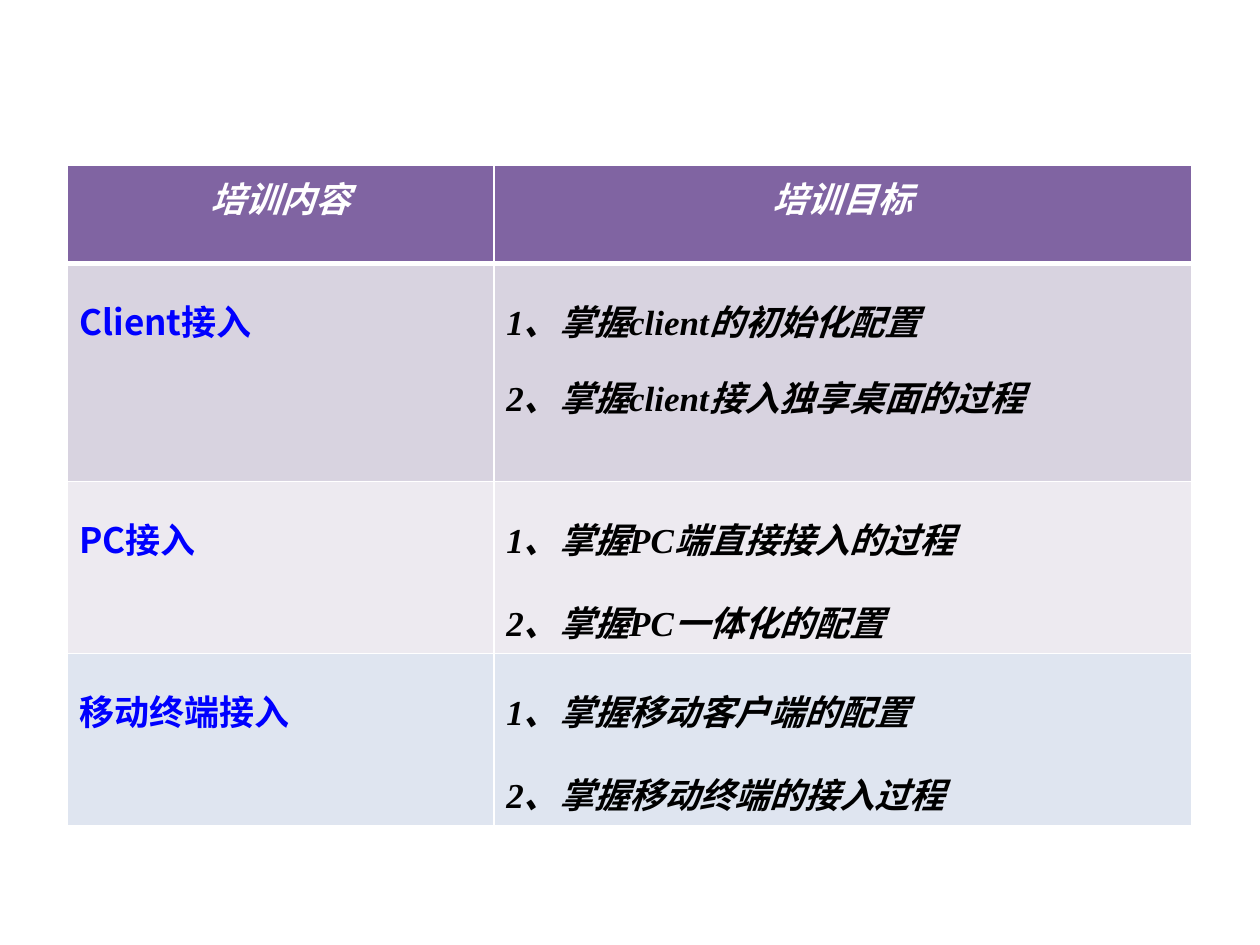
from lxml.etree import SubElement
from pptx import Presentation
from pptx.dml.color import RGBColor
from pptx.enum.text import PP_ALIGN
from pptx.oxml.ns import qn
from pptx.util import Inches, Pt

COLORS = {
    "white": "FFFFFF", "black": "000000", "blue": "0000FF",
    "head": "8064A2", "mauve": "D8D3E0", "pale": "EDEAF0", "ice": "DFE5F0",
}
SANS = "Noto Sans CJK SC"
SERIF = "Times New Roman"

rows = [
    (0.78, "head", "培训内容", "培训目标"),
    (1.73, "mauve", "Client接入", "1、掌握client的初始化配置\v2、掌握client接入独享桌面的过程"),
    (1.18, "pale", "PC接入", "1、掌握PC端直接接入的过程\n2、掌握PC一体化的配置"),
    (1.21, "ice", "移动终端接入", "1、掌握移动客户端的配置\n2、掌握移动终端的接入过程"),
]


def add_edge(cell, side, width):
    line = SubElement(cell._tc.get_or_add_tcPr(), qn(f"a:ln{side}"), w=str(Pt(width)))
    fill = SubElement(line, qn("a:solidFill"))
    SubElement(fill, qn("a:srgbClr"), val=COLORS["white"])


def style_run(run, font, color, slant):
    run.font.name = font
    run.font.size = Pt(20)
    run.font.bold = True
    run.font.italic = slant
    run.font.color.rgb = RGBColor.from_string(COLORS[color])
    SubElement(run.font._element, qn("a:ea"), typeface=SANS)


deck = Presentation()
deck.slide_width = Inches(10)
deck.slide_height = Inches(7.5)
slide = deck.slides.add_slide(deck.slide_layouts[6])

table = slide.shapes.add_table(
    len(rows), 2, Inches(0.53), Inches(1.31), Inches(8.93), Inches(4.9)
).table
table.columns[0].width = Inches(3.39)
table.columns[1].width = Inches(5.54)

for r, (height, shade, *texts) in enumerate(rows):
    table.rows[r].height = Inches(height)
    for c, text in enumerate(texts):
        cell = table.cell(r, c)
        for side in "LRTB":
            thick = (r, side) in [(0, "B"), (1, "T")]
            add_edge(cell, side, 3 if thick else 1)
        cell.fill.solid()
        cell.fill.fore_color.rgb = RGBColor.from_string(COLORS[shade])
        cell.text_frame.text = text
        if r == 0:
            look = (SANS, "white", True)
        elif c == 0:
            look = (SANS, "blue", False)
        else:
            look = (SERIF, "black", True)
        for para in cell.text_frame.paragraphs:
            para.alignment = PP_ALIGN.CENTER if r == 0 else PP_ALIGN.LEFT
            para.space_before = Pt(4)
            if r > 0:
                para.line_spacing = 1.5
            if (r, c) == (2, 1):
                props = para._p.get_or_add_pPr()
                props.set("marL", str(Inches(0.5)))
                props.set("indent", str(Inches(-0.5)))
            for run in para.runs:
                style_run(run, *look)

deck.save("out.pptx")
